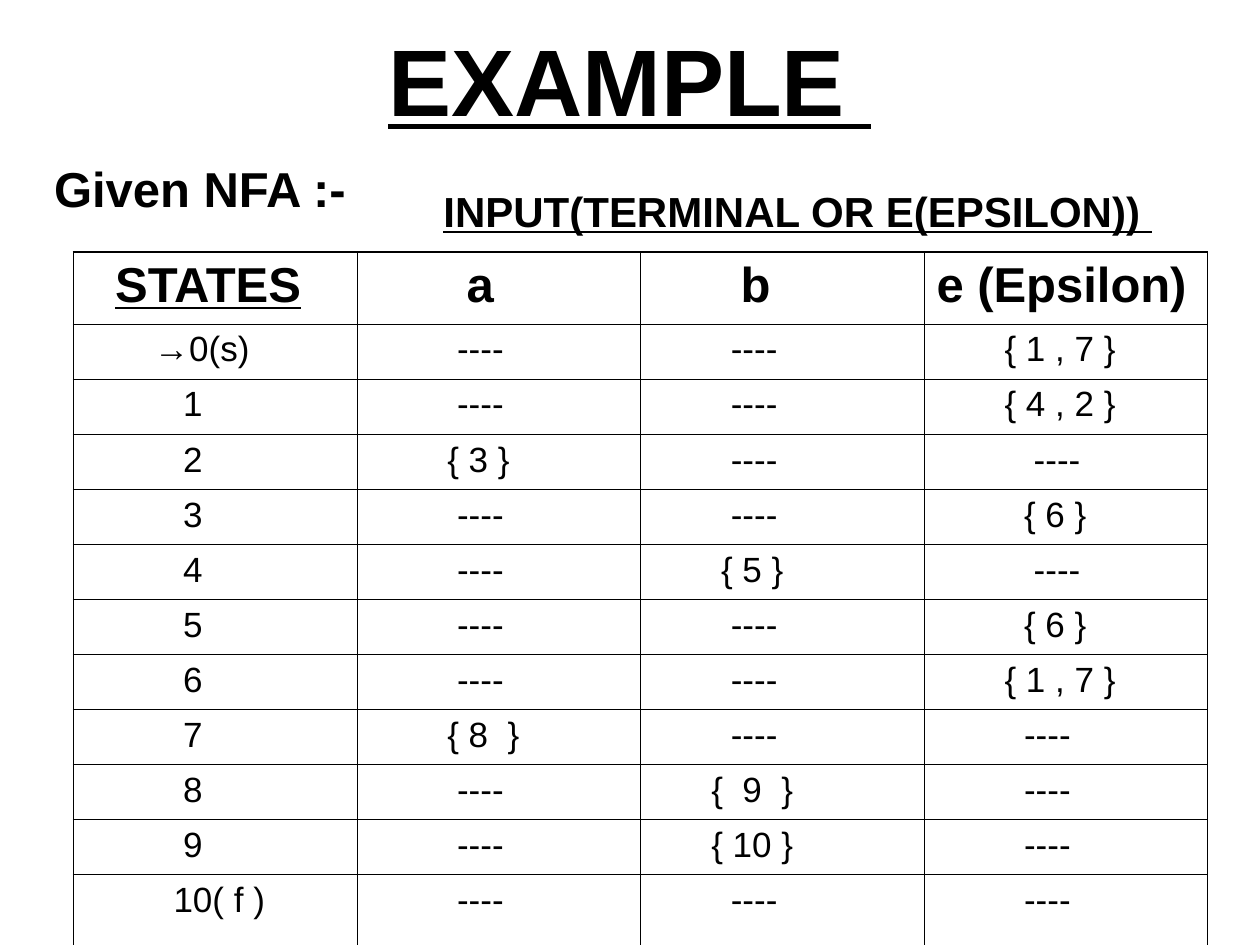
from dataclasses import dataclass

from lxml import etree
from pptx import Presentation
from pptx import util as u
from pptx.dml.color import RGBColor
from pptx.enum import text
from pptx.oxml import ns


@dataclass(frozen=True)
class Theme:
    font: str = "Arial"
    ink: str = "000000"
    title: int = 54
    head: int = 28
    label: int = 24
    body: int = 20
    thin: float = 0.45
    thick: float = 1.08


THEME = Theme()
STEP = 0.196
HEADS = ("STATES", "a", "b", "e (Epsilon) ")
HEAD_STEPS = (3, 10, 9, 0)
NONE = "----"
STATES = (
    (("→0(s)", NONE, NONE, "{ 1 , 7 }"), (7, 9, 8, 7)),
    (("1", NONE, NONE, "{ 4 , 2 }"), (10, 9, 8, 7)),
    (("2", "{ 3 }", NONE, NONE), (10, 8, 8, 10)),
    (("3", NONE, NONE, "{ 6 }"), (10, 9, 8, 9)),
    (("4", NONE, "{ 5 }", NONE), (10, 9, 7, 10)),
    (("5", NONE, NONE, "{ 6 }"), (10, 9, 8, 9)),
    (("6", NONE, NONE, "{ 1 , 7 }"), (10, 9, 8, 7)),
    (("7", "{ 8  }", NONE, NONE), (10, 8, 8, 9)),
    (("8", NONE, "{  9  }", NONE), (10, 9, 6, 9)),
    (("9", NONE, "{ 10 }", NONE), (10, 9, 6, 9)),
    (("10( f )", NONE, NONE, NONE), (9, 9, 8, 9)),
)


def write(para, words, size=THEME.body, bold=False, line=False,
          align=text.PP_ALIGN.LEFT, before=0, left=0):
    para.alignment = align
    para.space_before = u.Pt(before)
    props = para._p.get_or_add_pPr()
    props.set("marL", str(u.Cm(left)))
    props.set("indent", "0")
    run = para.add_run()
    run.text = words
    font = run.font
    font.name, font.size = THEME.font, u.Pt(size)
    font.bold, font.underline = bold, line
    font.color.rgb = RGBColor.from_string(THEME.ink)


def place(shape, left, top, width, height):
    shape.left, shape.top = u.Cm(left), u.Cm(top)
    shape.width, shape.height = u.Cm(width), u.Cm(height)


def title(slide, words):
    shape = slide.shapes.title
    place(shape, 1.27, 0, 22.86, 3.18)
    frame = shape.text_frame
    frame.auto_size = text.MSO_AUTO_SIZE.NONE
    frame.vertical_anchor = text.MSO_ANCHOR.MIDDLE
    para = frame.paragraphs[0]
    for part, bold in ((words, True), (" ", False)):
        write(para, part, size=THEME.title, bold=bold, line=True,
              align=text.PP_ALIGN.CENTER)


def label(slide, words, box, size, line=False, wrap=True):
    shape = slide.shapes.add_textbox(*map(u.Cm, box))
    frame = shape.text_frame
    frame.word_wrap = wrap
    frame.vertical_anchor = text.MSO_ANCHOR.MIDDLE
    para = frame.paragraphs[0]
    write(para, words, size=size, bold=True, line=line)
    if line:
        write(para, " ", size=size, line=True)


def border(cell, edges):
    props = cell._tc.get_or_add_tcPr()
    for side, outer in edges:
        width = THEME.thick if outer else THEME.thin
        line = etree.SubElement(props, ns.qn("a:ln" + side), w=str(u.Pt(width)))
        fill = etree.SubElement(line, ns.qn("a:solidFill"))
        etree.SubElement(fill, ns.qn("a:srgbClr"), val=THEME.ink)


def table(slide):
    rows = ((HEADS, HEAD_STEPS),) + STATES
    last, end = len(rows) - 1, len(HEADS) - 1
    high = [1.45] + [1.11] * (last - 1) + [1.96]
    frame = slide.shapes.add_table(
        len(rows), len(HEADS), u.Cm(1.48), u.Cm(5.08), u.Cm(22.86), u.Cm(sum(high)))
    grid = frame.table
    grid.first_row = grid.horz_banding = False
    for col in grid.columns:
        col.width = u.Cm(5.715)
    for i, (words, steps) in enumerate(rows):
        grid.rows[i].height = u.Cm(high[i])
        head = i == 0
        for j, (word, step) in enumerate(zip(words, steps)):
            cell = grid.cell(i, j)
            border(cell, (("L", j == 0), ("R", j == end),
                          ("T", head), ("B", i == last)))
            cell.fill.background()
            write(cell.text_frame.paragraphs[0], word,
                  size=THEME.head if head else THEME.body, bold=head,
                  line=head and j == 0, before=7 if head else 5,
                  left=step * STEP)


def main():
    deck = Presentation()
    deck.slide_width, deck.slide_height = u.Cm(25.4), u.Cm(19.05)
    slide = deck.slides.add_slide(deck.slide_layouts[5])
    title(slide, "EXAMPLE")
    label(slide, "Given NFA :-", (0.84, 3.07, 14.81, 1.45), THEME.head)
    table(slide)
    label(slide, "INPUT(TERMINAL OR E(EPSILON))", (8.69, 3.61, 14.81, 1.27),
          THEME.label, line=True, wrap=False)
    deck.save("out.pptx")


main()
